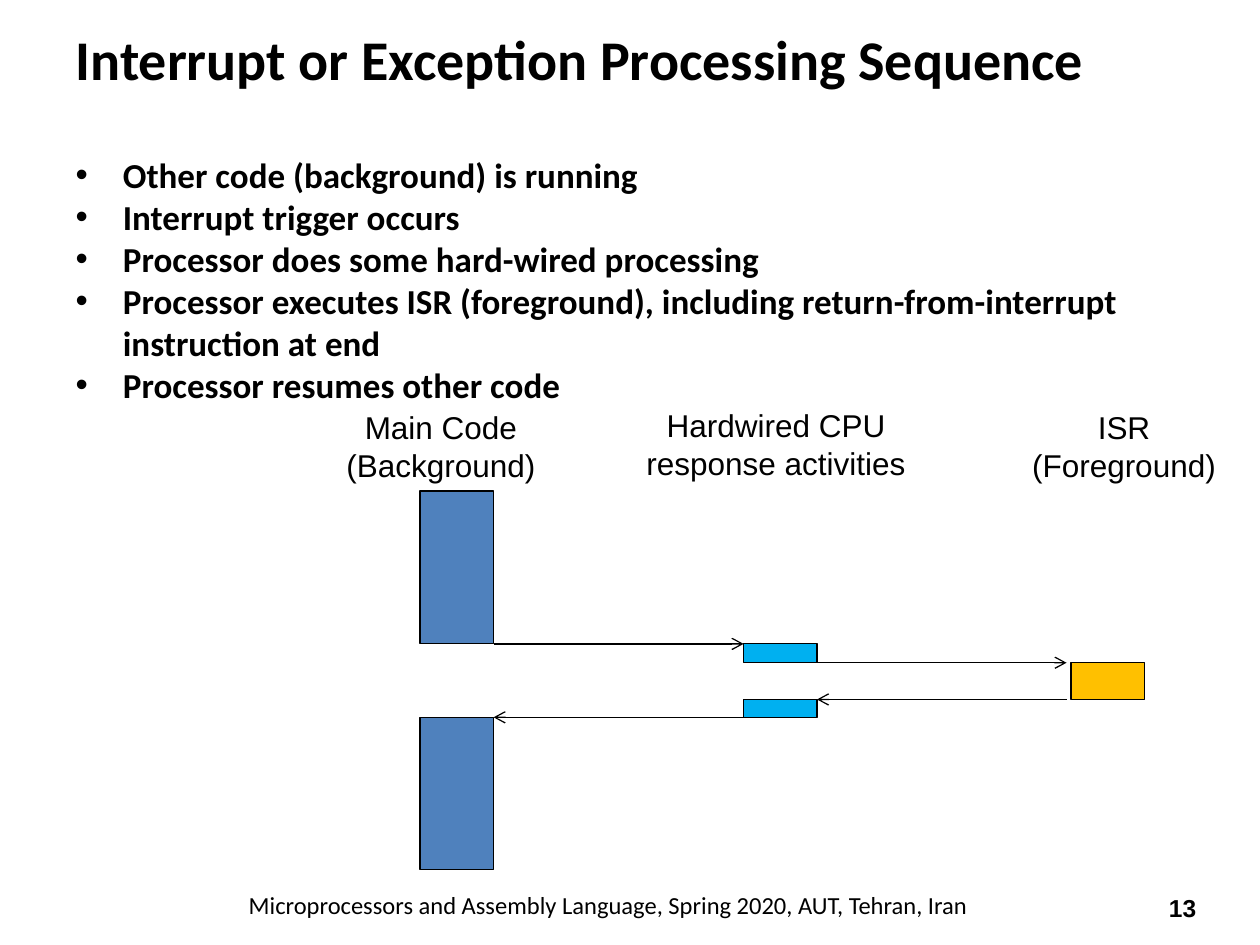
from dataclasses import dataclass

from lxml.etree import SubElement
from pptx import Presentation
from pptx.dml.color import RGBColor
from pptx.enum.shapes import MSO_CONNECTOR, MSO_SHAPE
from pptx.enum.text import MSO_ANCHOR, MSO_AUTO_SIZE, PP_ALIGN
from pptx.oxml.ns import qn
from pptx.util import Cm, Pt

BLACK = RGBColor(0x00, 0x00, 0x00)
MAIN_BLUE = RGBColor(0x4F, 0x81, 0xBD)
CPU_CYAN = RGBColor(0x00, 0xB0, 0xF0)
ISR_AMBER = RGBColor(0xFF, 0xC0, 0x00)

# Column left edges and the moments of the timeline, in centimetres
BAR_WIDTH = 1.48
MAIN_X, CPU_X, ISR_X = 8.47, 14.99, 21.59
START, TRIGGER, ISR_START, ISR_END, RESUME, FINISH = 9.9, 12.98, 13.36, 14.1, 14.46, 17.53
ISR_ARROW_X = 21.5

STEPS = [
    "Other code (background) is running",
    "Interrupt trigger occurs",
    "Processor does some hard-wired processing",
    "Processor executes ISR (foreground), including return-from-interrupt instruction at end",
    "Processor resumes other code",
]


@dataclass
class Label:
    text: str
    left: float
    top: float
    width: float
    height: float
    font: str = "Arial"
    size: int = 18
    bold: bool = False
    wrap: bool = False


@dataclass
class Bar:
    left: float
    top: float
    bottom: float
    color: RGBColor


@dataclass
class Arrow:
    start_x: float
    end_x: float
    y: float


LABELS = [
    Label("Main Code\v(Background)", 6.73, 8.1, 4.32, 1.78),
    Label("Hardwired CPU\vresponse activities", 12.75, 8.05, 5.79, 1.8),
    Label("ISR\v(Foreground)", 20.55, 8.1, 4.22, 1.78),
    Label("Microprocessors and Assembly Language, Spring 2020, AUT, Tehran, Iran",
          2.74, 17.8, 19.05, 0.86, font="Calibri", size=14, wrap=True),
    Label("13", 23.09, 17.78, 1.5, 1.02, size=14, bold=True, wrap=True),
]

BARS = [
    Bar(MAIN_X, START, TRIGGER, MAIN_BLUE),
    Bar(MAIN_X, RESUME, FINISH, MAIN_BLUE),
    Bar(ISR_X, ISR_START, ISR_END, ISR_AMBER),
    Bar(CPU_X, TRIGGER, ISR_START, CPU_CYAN),
    Bar(CPU_X, ISR_END, RESUME, CPU_CYAN),
]

ARROWS = [
    Arrow(MAIN_X + BAR_WIDTH, CPU_X, TRIGGER),
    Arrow(CPU_X + BAR_WIDTH, ISR_ARROW_X, ISR_START),
    Arrow(ISR_ARROW_X, CPU_X + BAR_WIDTH, ISR_END),
    Arrow(CPU_X, MAIN_X + BAR_WIDTH, RESUME),
]


def place(shape, left: float, top: float, width: float, height: float) -> None:
    shape.left, shape.top = Cm(left), Cm(top)
    shape.width, shape.height = Cm(width), Cm(height)


def format_text(frame, font: str, size: int, bold: bool, align: PP_ALIGN) -> None:
    for para in frame.paragraphs:
        para.alignment = align
        para.space_before = Pt(0)
        for span in para.runs:
            span.font.name = font
            span.font.size = Pt(size)
            span.font.bold = bold
            span.font.color.rgb = BLACK


def fill_placeholder(box, text: str, size: int, anchor: MSO_ANCHOR) -> None:
    frame = box.text_frame
    frame.text = text
    frame.auto_size = MSO_AUTO_SIZE.NONE
    frame.vertical_anchor = anchor
    format_text(frame, "Calibri", size, True, PP_ALIGN.LEFT)


def draw_label(page, label: Label) -> None:
    box = page.shapes.add_textbox(Cm(label.left), Cm(label.top),
                                  Cm(label.width), Cm(label.height))
    frame = box.text_frame
    frame.word_wrap = label.wrap
    frame.vertical_anchor = MSO_ANCHOR.MIDDLE
    frame.text = label.text
    format_text(frame, label.font, label.size, label.bold, PP_ALIGN.CENTER)


def draw_bar(page, bar: Bar) -> None:
    box = page.shapes.add_shape(MSO_SHAPE.RECTANGLE, Cm(bar.left), Cm(bar.top),
                                Cm(BAR_WIDTH), Cm(bar.bottom - bar.top))
    box.shadow.inherit = False
    box.fill.solid()
    box.fill.fore_color.rgb = bar.color
    box.line.color.rgb = BLACK
    box.line.width = Pt(0.75)


def draw_arrow(page, arrow: Arrow) -> None:
    connector = page.shapes.add_connector(MSO_CONNECTOR.STRAIGHT, Cm(arrow.start_x), Cm(arrow.y),
                                          Cm(arrow.end_x), Cm(arrow.y))
    connector.line.color.rgb = BLACK
    connector.line.width = Pt(0.75)
    SubElement(connector.line._get_or_add_ln(), qn("a:tailEnd"), type="arrow")
    SubElement(connector._element.spPr, qn("a:effectLst"))


def main() -> None:
    deck = Presentation()
    deck.slide_width, deck.slide_height = Cm(25.4), Cm(19.05)
    page = deck.slides.add_slide(deck.slide_layouts[1])

    title, body = page.shapes.title, page.placeholders[1]
    place(title, 1.27, 0, 22.86, 2.34)
    fill_placeholder(title, "Interrupt or Exception Processing Sequence", 32, MSO_ANCHOR.MIDDLE)
    place(body, 1.27, 2.97, 23.5, 5.38)
    fill_placeholder(body, "\n".join(STEPS), 20, MSO_ANCHOR.TOP)

    for label in LABELS:
        draw_label(page, label)
    for bar in BARS:
        draw_bar(page, bar)
    for arrow in ARROWS:
        draw_arrow(page, arrow)

    deck.save("out.pptx")


if __name__ == "__main__":
    main()
